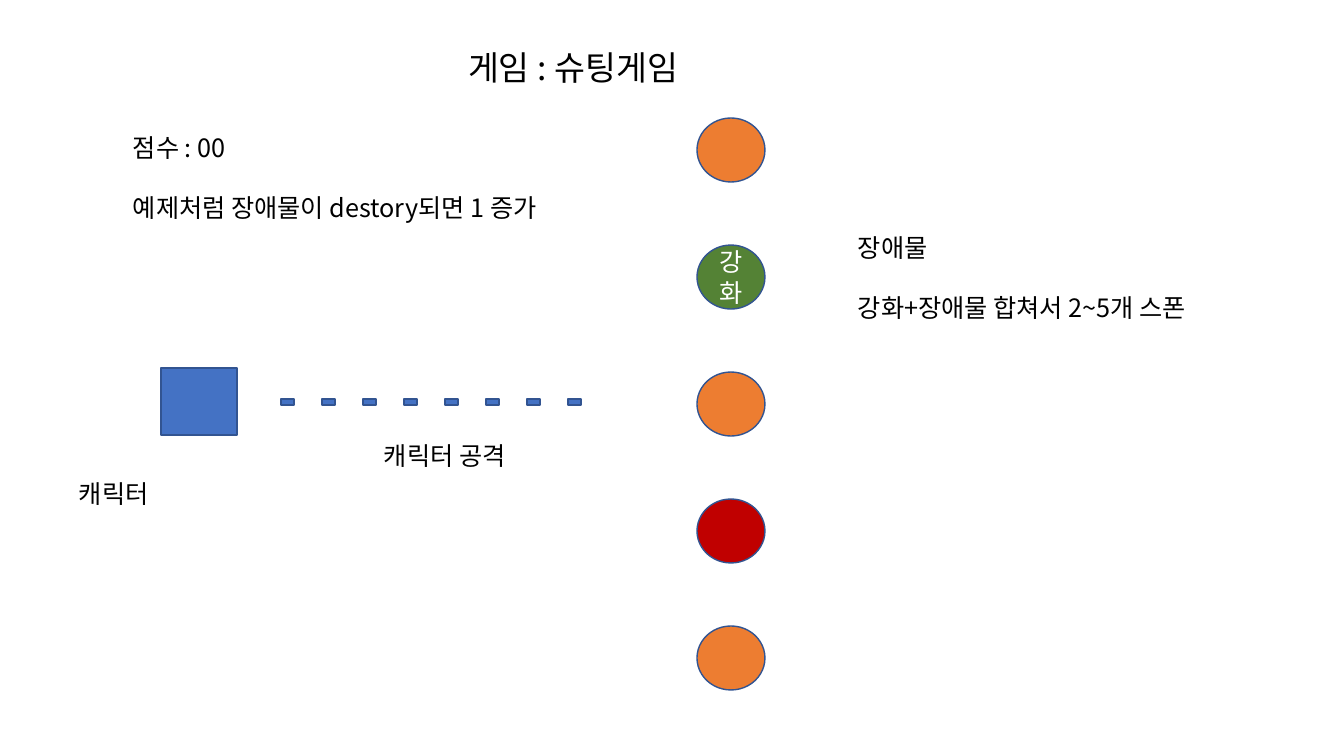
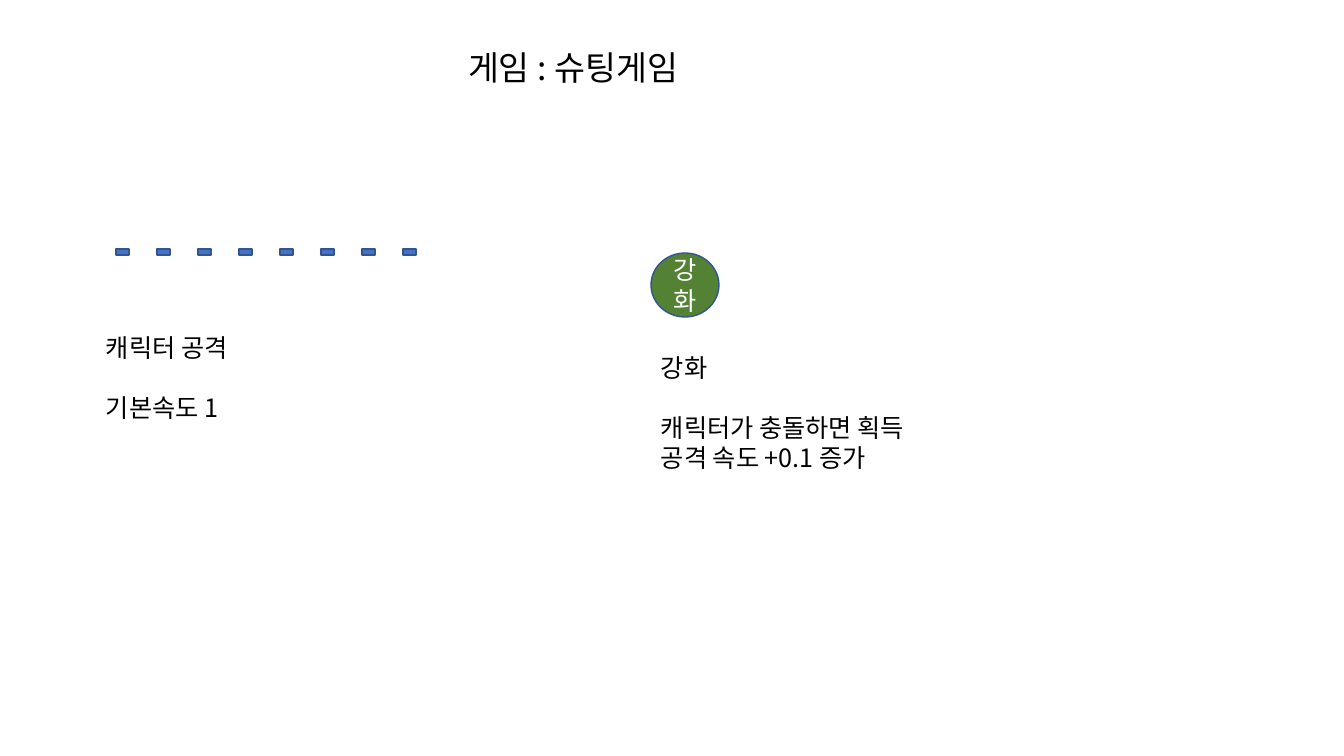
from lxml import etree
from pptx import Presentation
from pptx import util as u
from pptx.dml.color import RGBColor
from pptx.enum import shapes, text
from pptx.oxml.ns import qn

SCALE = 914400 / 100.8
FONT = "Noto Sans CJK KR"
BLACK, WHITE = "000000", "FFFFFF"
BLUE, OUTLINE = "4472C4", "325491"
ORANGE, GREEN, RED = "ED7D31", "548235", "C00000"
RECT, OVAL = shapes.MSO_SHAPE.RECTANGLE, shapes.MSO_SHAPE.OVAL
CENTER = text.PP_ALIGN.CENTER
GAP = {"space_before": u.Pt(21.5)}
TITLE = {"alignment": CENTER, "line_spacing": 0.9, "space_before": u.Pt(10)}


def px(*lengths):
    return [u.Emu(round(n * SCALE)) for n in lengths]


def color(value):
    return RGBColor.from_string(value)


def apply(target, values):
    for name, value in values.items():
        setattr(target, name, value)


class Deck:
    def __init__(self):
        self.prs = Presentation()
        self.prs.slide_width, self.prs.slide_height = px(1344, 756)

    def slide(self):
        self.s = self.prs.slides.add_slide(self.prs.slide_layouts[6])
        self.text(69, 46, 1008, 84, [("게임 : 슈팅게임", TITLE)], size=24)

    def fill_text(self, tf, lines, size, fill):
        for i, (line, layout) in enumerate(lines):
            p = tf.add_paragraph() if i else tf.paragraphs[0]
            apply(p, layout)
            r = p.add_run()
            r.text = line
            apply(r.font, {"name": FONT, "size": u.Pt(size)})
            r.font.color.rgb = color(fill)
            etree.SubElement(r._r.get_or_add_rPr(), qn("a:ea"), typeface=FONT)

    def text(self, x, y, w, h, lines, size=18):
        tf = self.s.shapes.add_textbox(*px(x, y, w, h)).text_frame
        tf.word_wrap = True
        self.fill_text(tf, lines, size, BLACK)

    def shape(self, kind, x, y, w, h, fill):
        sp = self.s.shapes.add_shape(kind, *px(x, y, w, h))
        sp.shadow.inherit = False
        sp.fill.solid()
        sp.fill.fore_color.rgb = color(fill)
        sp.line.color.rgb = color(OUTLINE)
        sp.line.width = u.Pt(1)
        return sp

    def ball(self, x, y, fill):
        return self.shape(OVAL, x, y, 68, 64, fill)

    def power_up(self, x, y):
        tf = self.ball(x, y, GREEN).text_frame
        apply(tf, {"word_wrap": True, "vertical_anchor": text.MSO_ANCHOR.MIDDLE})
        self.fill_text(tf, [("강화", {"alignment": CENTER})], 18, WHITE)

    def bullets(self, x, y):
        for i in range(8):
            self.shape(RECT, x + 41 * i, y, 13, 6, BLUE)


deck = Deck()

deck.slide()
deck.shape(RECT, 161, 368, 76, 67, BLUE)
deck.text(69, 473, 306, 40, [("캐릭터", {})])
deck.bullets(281, 399)
deck.text(374, 435, 306, 40, [("캐릭터 공격", {})])
for row, fill in enumerate([ORANGE, GREEN, ORANGE, RED, ORANGE]):
    y = 118 + 127 * row
    if fill == GREEN:
        deck.power_up(697, y)
    else:
        deck.ball(697, y, fill)
deck.text(848, 227, 431, 102, [("장애물", {}), ("강화+장애물 합쳐서 2~5개 스폰", GAP)])
deck.text(123, 127, 476, 102,
          [("점수 : 00", {}), ("예제처럼 장애물이 destory되면 1 증가", GAP)])

deck.slide()
deck.bullets(116, 249)
deck.text(96, 327, 306, 102, [("캐릭터 공격", {}), ("기본속도 1", GAP)])
deck.power_up(651, 253)
deck.text(651, 347, 306, 132,
          [("강화", {}), ("캐릭터가 충돌하면 획득", GAP), ("공격 속도 +0.1 증가", {})])

deck.prs.save("out.pptx")
